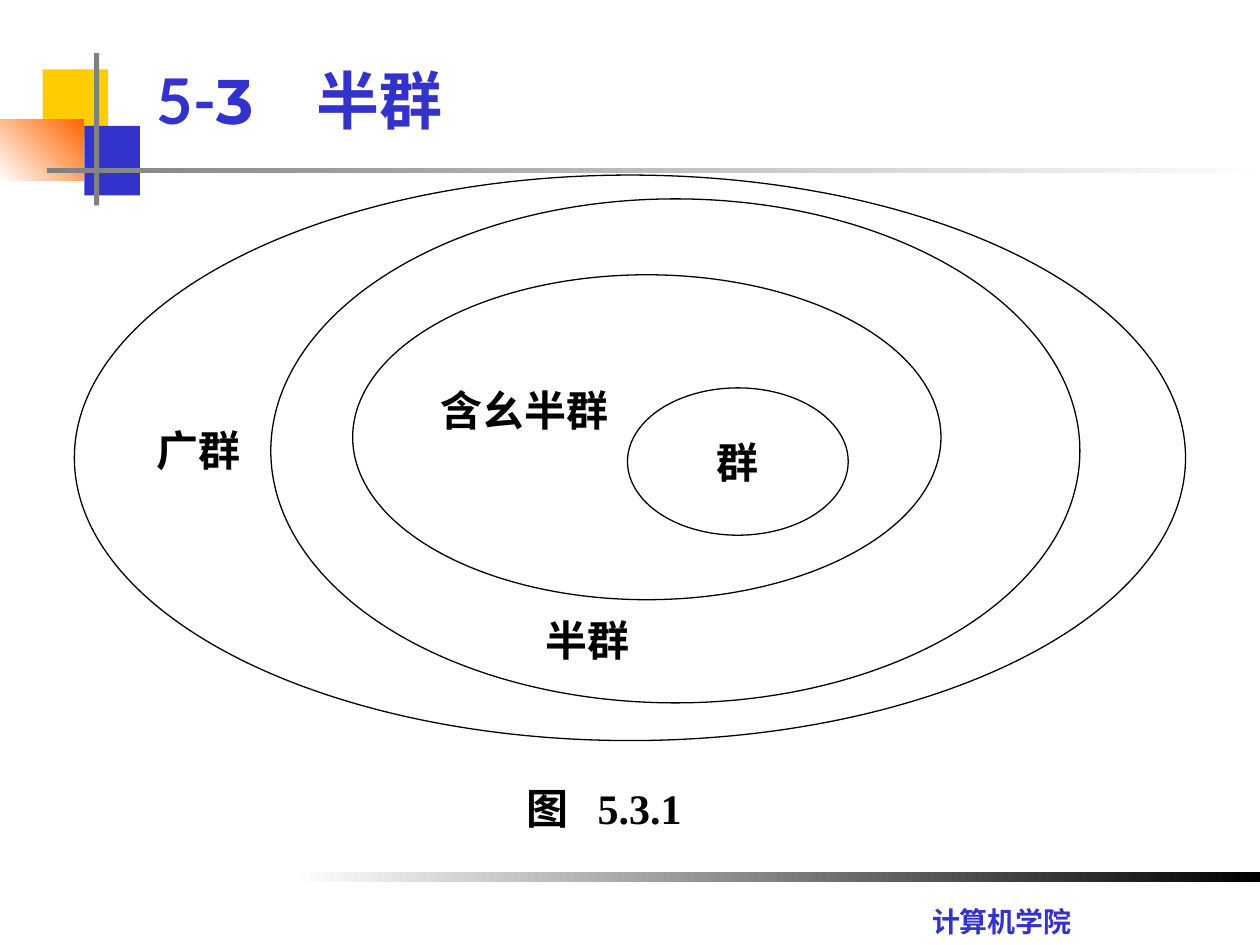
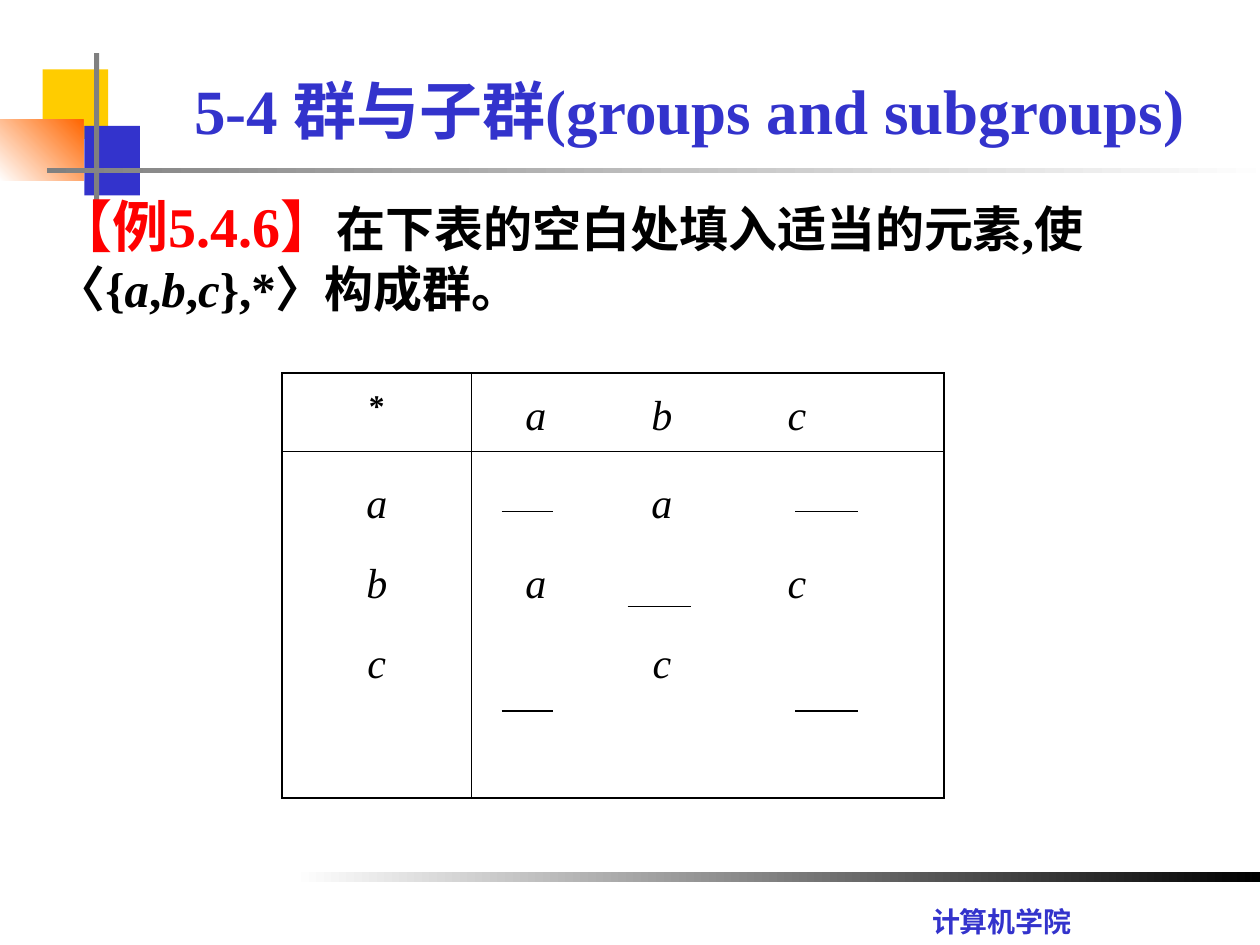
from lxml.etree import SubElement
from pptx import Presentation
from pptx.dml.color import RGBColor
from pptx.enum.shapes import MSO_CONNECTOR, MSO_SHAPE
from pptx.enum.text import MSO_ANCHOR, PP_ALIGN
from pptx.oxml.ns import qn
from pptx.util import Cm, Pt

BLUE, GRAY, BLACK, WHITE = "3333CC", "808080", "000000", "FFFFFF"
SERIF = "Times New Roman"
TITLE = {"name": SERIF, "size": Pt(36), "bold": True, "color": BLUE}
LABEL = {"name": SERIF, "size": Pt(24), "bold": True, "color": BLACK}
FOOTER = {"name": "Cabin", "size": Pt(16), "bold": True, "color": BLUE}
BODY = LABEL | {"size": Pt(28)}
ELEMENT = LABEL | {"bold": False, "italic": True}
LEFT, CENTER = PP_ALIGN.LEFT, PP_ALIGN.CENTER
TOP, MIDDLE = MSO_ANCHOR.TOP, MSO_ANCHOR.MIDDLE


def color(hex_text):
    return RGBColor.from_string(hex_text)


def write(paragraph, runs, style, alignment=LEFT, tabs=()):
    """Add (text, overrides) runs; tabs are (position in cm, alignment code)."""
    if tabs:
        tab_list = SubElement(paragraph._p.get_or_add_pPr(), qn("a:tabLst"))
        for position, code in tabs:
            SubElement(tab_list, qn("a:tab"), pos=str(Cm(position)), algn=code)
    paragraph.alignment = alignment
    for text, overrides in runs:
        run = paragraph.add_run()
        run.text = text
        for name, value in (style | overrides).items():
            if name == "color":
                run.font.color.rgb = color(value)
            else:
                setattr(run.font, name, value)


presentation = Presentation()
presentation.slide_width, presentation.slide_height = Cm(25.4), Cm(19.05)

# Left, top, width, height, colours from start to end, gradient angle
decorations = [
    (0.86, 1.4, 1.32, 1.4, ["FFCC00"], 0),
    (1.7, 2.54, 1.12, 1.4, [BLUE], 0),
    (0, 2.41, 1.68, 1.24, [WHITE, "FF6600"], 45),
    (1.9, 1.07, 0.1, 3.07, [GRAY], 0),
    (0.94, 3.38, 24.76, 0.1, [GRAY, WHITE], 0),
    (5.92, 17.58, 19.48, 0.2, [WHITE, BLACK], 0),
]
footer = ((18.54, 18.11, 3.8, 0.94), [("计算机学院", {})], FOOTER, LEFT, TOP, ())

# Box, runs, style, alignment, anchor, tabs
group_diagram_texts = [
    ((2.9, 1.12, 21.59, 1.78),
     [("5-", {}), ("3", {"name": "Montserrat"}), ("　半群", {})],
     TITLE | {"name": "Lato"}, LEFT, MIDDLE, ()),
    ((10.36, 15.65, 4.24, 1.27), [("图\t5.3.1", {})], LABEL, LEFT, TOP, [(1.44, "l")]),
    ((8.64, 7.62, 4.88, 1.27), [("含幺半群", {})], LABEL, LEFT, TOP, ()),
    ((10.74, 12.27, 2.5, 1.27), [("半群", {})], LABEL, LEFT, TOP, ()),
    ((2.9, 8.43, 2.5, 1.27), [("广群", {})], LABEL, LEFT, TOP, ()),
]
italic = {"italic": True}
subgroup_texts = [
    ((3.1, 1.32, 21.59, 1.78), [("5-4 群与子群(groups and subgroups)", {})],
     TITLE, CENTER, MIDDLE, ()),
    ((0.89, 3.73, 23.29, 2.79),
     [("【例5.4.6】", {"size": Pt(32), "color": "FF0000"}),
      ("在下表的空白处填入适当的元素,使〈{", {}),
      ("a", italic), (",", {}), ("b", italic), (",", {}), ("c", italic),
      ("},*〉构成群。", {})],
     BODY, LEFT, TOP, ()),
]

# Outermost first; the two innermost are filled
ellipses = [
    (1.5, 3.53, 22.4, 11.4, None, ""),
    (5.46, 4.01, 16.31, 10.16, None, ""),
    (7.11, 5.54, 11.86, 6.55, WHITE, ""),
    (12.65, 7.82, 4.45, 2.97, WHITE, "群"),
]

slides = []
for texts, rings in [(group_diagram_texts, ellipses), (subgroup_texts, [])]:
    slide = presentation.slides.add_slide(presentation.slide_layouts[6])
    slides.append(slide)
    for left, top, width, height, colors, angle in decorations:
        shape = slide.shapes.add_shape(
            MSO_SHAPE.RECTANGLE, Cm(left), Cm(top), Cm(width), Cm(height))
        shape.shadow.inherit = False
        shape.line.fill.background()
        if len(colors) == 1:
            shape.fill.solid()
            shape.fill.fore_color.rgb = color(colors[0])
        else:
            shape.fill.gradient()
            shape.fill.gradient_angle = angle
            for stop, stop_color in zip(shape.fill.gradient_stops, colors):
                stop.color.rgb = color(stop_color)

    for left, top, width, height, fill, label in rings:
        shape = slide.shapes.add_shape(
            MSO_SHAPE.OVAL, Cm(left), Cm(top), Cm(width), Cm(height))
        shape.shadow.inherit = False
        shape.line.color.rgb = color(BLACK)
        shape.line.width = Pt(0.75)
        if fill:
            shape.fill.solid()
            shape.fill.fore_color.rgb = color(fill)
        else:
            shape.fill.background()
        if label:
            shape.text_frame.vertical_anchor = MIDDLE
            write(shape.text_frame.paragraphs[0], [(label, {})], LABEL, CENTER)

    for box, runs, style, alignment, anchor, tabs in [footer, *texts]:
        frame = slide.shapes.add_textbox(*map(Cm, box)).text_frame
        frame.word_wrap = True
        frame.vertical_anchor = anchor
        write(frame.paragraphs[0], runs, style, alignment, tabs)

# Operation table with blanks to fill in
slide = slides[1]
table = slide.shapes.add_table(2, 2, Cm(5.69), Cm(7.52), Cm(13.34), Cm(8.56)).table
table.first_row = table.horz_banding = False
for column, width in zip(table.columns, (3.81, 9.53)):
    column.width = Cm(width)
for row, height in zip(table.rows, (1.57, 6.99)):
    row.height = Cm(height)

element_tabs = [(1.05, "ctr"), (3.59, "ctr"), (6.31, "ctr")]
operator = LABEL | {"size": Pt(18)}
# Row, column, lines, style, alignment, tabs, line spacing
cells = [
    (0, 0, ["*"], operator, CENTER, (), 1.3),
    (0, 1, ["\ta\tb\tc"], ELEMENT, LEFT, element_tabs, 1.3),
    (1, 0, ["a", "b", "c"], ELEMENT, CENTER, (), 1.5),
    (1, 1, ["\t\ta", "\ta\t\tc", "\t\tc"], ELEMENT, LEFT, element_tabs, 1.5),
]
for row, column, lines, style, alignment, tabs, spacing in cells:
    cell = table.cell(row, column)
    properties = cell._tc.get_or_add_tcPr()
    outer_sides = {"L": column == 0, "R": column == 1, "T": row == 0, "B": row == 1}
    for side, is_outer in outer_sides.items():
        border = SubElement(properties, qn(f"a:ln{side}"),
                            w=str(Pt(1.08 if is_outer else 0.45)))
        SubElement(SubElement(border, qn("a:solidFill")), qn("a:srgbClr"), val=BLACK)
    cell.fill.background()
    for index, line in enumerate(lines):
        frame = cell.text_frame
        paragraph = frame.add_paragraph() if index else frame.paragraphs[0]
        write(paragraph, [(line, {})], style, alignment, tabs)
        paragraph.line_spacing = spacing
        if index:
            paragraph.space_before = Pt(6)

first_blank, second_blank, third_blank = (10.11, 11.15), (12.65, 13.92), (16.03, 17.3)
blank_rows = [
    (10.31, [first_blank, third_blank]),
    (12.22, [second_blank]),
    (14.33, [first_blank, third_blank]),
]
for y, blanks in blank_rows:
    for start, end in blanks:
        connector = slide.shapes.add_connector(
            MSO_CONNECTOR.STRAIGHT, Cm(start), Cm(y), Cm(end), Cm(y))
        connector.line.color.rgb = color(BLACK)
        connector.line.width = Pt(0.75)
        SubElement(connector._element.spPr, qn("a:effectLst"))

presentation.save("out.pptx")
